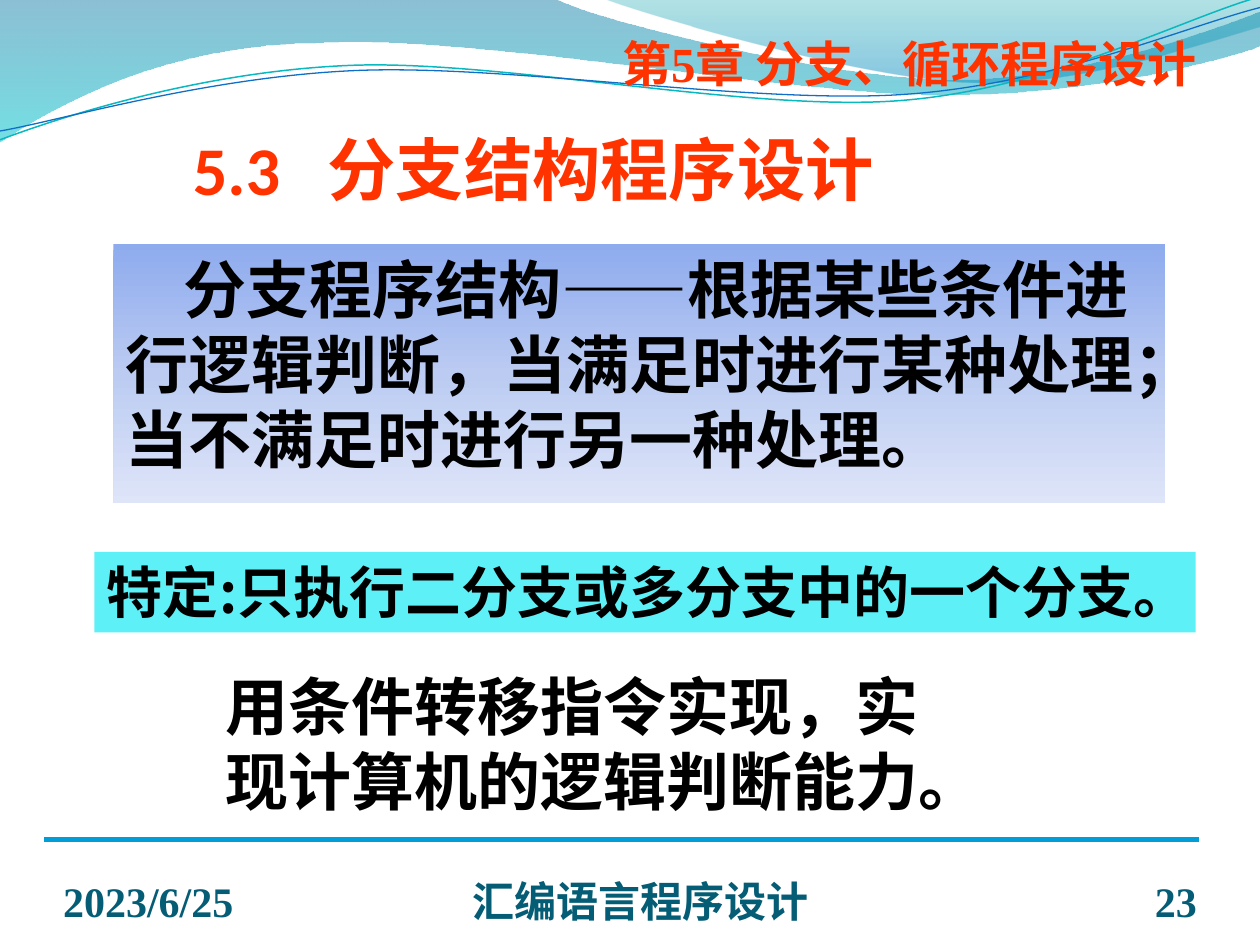
from lxml.etree import SubElement
from pptx import Presentation
from pptx.dml.color import RGBColor
from pptx.enum.shapes import MSO_CONNECTOR, MSO_SHAPE
from pptx.enum.text import MSO_ANCHOR, PP_ALIGN
from pptx.oxml.ns import qn
from pptx.util import Inches, Pt

THEME = {
    "cjk": "Noto Sans CJK SC", "sans": "Calibri", "serif": "Times New Roman",
    "red": "FF3300", "ink": "000000", "footer": "045C75", "rule": "009DD9", "band": "5EF0F7",
    "body": 36, "title": 39, "note": 32, "chapter": 28, "foot": 24,
    "leading": 1.2,
    "panel": [(0, "8EABEE", 100), (50, "BBCBF2", 100), (100, "DEE5F8", 100)],
    "wave_left": [(0, "0074A1", 45), (100, "00C6CF", 55)],
    "wave_right": [(0, "00A1A9", 30), (80, "008BBF", 45)],
}

WAVES = [
    ("wave_left", [
        (0, -0.01), (4.4, -0.01),
        (4.76, 0.17, 6.64, 0.63, 7.58, 0.63), (8.53, 0.63, 9.58, 0.26, 10, 0.09),
        (10.01, 0.36),
        (9.83, 0.44, 8.7, 0.76, 7.46, 0.75), (6.22, 0.75, 3.82, 0.28, 2.57, 0.34),
        (1.29, 0.35, 0.46, 0.83, -0.01, 1.13), (0, -0.01)]),
    ("wave_right", [
        (4.79, -0.01),
        (5.09, 0.11, 6.82, 0.62, 7.69, 0.65), (8.56, 0.69, 9.61, 0.32, 10, 0.21),
        (10, 0), (4.79, -0.01)]),
]
WAVE_LINES = [
    ("0AB8BF", 0.85, [
        (0, 1.11), (0.48, 0.93, 1.58, 0.57, 2.77, 0.52),
        (3.95, 0.47, 5.93, 0.89, 7.13, 0.8), (8.33, 0.71, 9.38, 0.15, 9.98, -0.02)]),
    ("0F6FC6", 0.75, [
        (0, 1.04), (0.47, 0.96, 1.64, 0.61, 2.83, 0.56),
        (4.03, 0.51, 5.97, 0.83, 7.17, 0.75), (8.36, 0.67, 9.41, 0.21, 10, 0.06)]),
]

BODY_INSET = (0.1, 0.05, 0.1, 0.05)
FOOT_INSET = (0, 0, 0, 0)
TEXTS = [
    {"text": "分支程序结构——根据某些条件进行逻辑判断，当满足时进行某种处理；当不满足时进行另一种处理。",
     "box": (0.9, 1.94, 8.35, 2.05), "size": "body", "grad": "panel", "indent": 0.46},
    {"text": "5.3\t分支结构程序设计", "box": (1.53, 0.99, 5.75, 0.66), "size": "title",
     "font": "sans", "color": "red", "inset": (0, 0.02, 0, 0), "tab": 1.07},
    {"text": "用条件转移指令实现，实现计算机的逻辑判断能力。",
     "box": (1.69, 5.25, 5.91, 1.31), "size": "body"},
    {"text": "特定:只执行二分支或多分支中的一个分支。",
     "box": (0.75, 4.38, 8.74, 0.64), "size": "note", "fill": "band"},
    {"text": "第5章 分支、循环程序设计", "box": (4.84, 0.21, 5.16, 0.57), "size": "chapter",
     "font": "serif", "color": "red"},
    {"text": "2023/6/25", "box": (0.5, 6.9, 1.82, 0.45), "align": PP_ALIGN.LEFT, "font": "serif"},
    {"text": "23", "box": (8.67, 6.95, 0.83, 0.4), "align": PP_ALIGN.RIGHT, "font": "serif"},
    {"text": "汇编语言程序设计", "box": (2.72, 6.9, 4.72, 0.45), "align": PP_ALIGN.CENTER},
]


def rgb(key):
    return RGBColor.from_string(THEME.get(key, key))


def add_curve(s, segments, close):
    points = [(round(seg[i] * 100), round(seg[i + 1] * 100))
              for seg in segments for i in range(0, len(seg), 2)]
    fb = s.shapes.build_freeform(*points[0], scale=Inches(0.01))
    fb.add_line_segments(points[1:], close=close)
    sp = fb.convert_to_shape()
    sp.shadow.inherit = False
    steps = iter(list(sp.element.spPr.iter(qn("a:lnTo"))))
    for seg in segments[1:]:
        first = next(steps)
        if len(seg) == 6:
            first.tag = qn("a:cubicBezTo")
            for extra in (next(steps), next(steps)):
                first.append(extra[0])
                extra.getparent().remove(extra)
    return sp


def set_gradient(sp, stops):
    sp.fill.gradient()
    sp.fill.gradient_angle = 270
    gs_list = next(sp.element.spPr.iter(qn("a:gsLst")))
    for gs in list(gs_list):
        gs_list.remove(gs)
    for pos, color, alpha in stops:
        gs = SubElement(gs_list, qn("a:gs"), pos=str(pos * 1000))
        clr = SubElement(gs, qn("a:srgbClr"), val=color)
        if alpha < 100:
            SubElement(clr, qn("a:alpha"), val=str(alpha * 1000))


def add_text(s, item):
    box = [Inches(v) for v in item["box"]]
    if "grad" in item or "fill" in item:
        sp = s.shapes.add_shape(MSO_SHAPE.RECTANGLE, *box)
        sp.shadow.inherit = False
        sp.line.fill.background()
        if "grad" in item:
            set_gradient(sp, THEME[item["grad"]])
        else:
            sp.fill.solid()
            sp.fill.fore_color.rgb = rgb(item["fill"])
    else:
        sp = s.shapes.add_textbox(*box)
    is_foot = "align" in item
    tf = sp.text_frame
    tf.word_wrap = True
    tf.vertical_anchor = MSO_ANCHOR.BOTTOM if is_foot else MSO_ANCHOR.TOP
    inset = item.get("inset", FOOT_INSET if is_foot else BODY_INSET)
    tf.margin_left, tf.margin_top, tf.margin_right, tf.margin_bottom = map(Inches, inset)
    size = THEME[item.get("size", "foot")]
    p = tf.paragraphs[0]
    p.alignment = item.get("align", PP_ALIGN.LEFT)
    p.line_spacing = Pt(round(size * THEME["leading"]))
    pPr = p._p.get_or_add_pPr()
    if "indent" in item:
        pPr.set("indent", str(Inches(item["indent"])))
    if "tab" in item:
        tabs = SubElement(pPr, qn("a:tabLst"))
        SubElement(tabs, qn("a:tab"), pos=str(Inches(item["tab"])), algn="l")
    r = p.add_run()
    r.text = item["text"]
    r.font.size = Pt(size)
    r.font.bold = True
    r.font.color.rgb = rgb(item.get("color", "footer" if is_foot else "ink"))
    r.font.name = THEME[item.get("font", "cjk")]
    SubElement(r.font._element, qn("a:ea"), typeface=THEME["cjk"])


def main():
    prs = Presentation()
    prs.slide_width, prs.slide_height = Inches(10), Inches(7.5)
    s = prs.slides.add_slide(prs.slide_layouts[6])
    for key, segments in WAVES:
        sp = add_curve(s, segments, True)
        sp.line.fill.background()
        set_gradient(sp, THEME[key])
    for color, width, segments in WAVE_LINES:
        sp = add_curve(s, segments, False)
        sp.fill.background()
        sp.line.color.rgb = rgb(color)
        sp.line.width = Pt(width)
    rule = s.shapes.add_connector(
        MSO_CONNECTOR.STRAIGHT, Inches(0.35), Inches(6.66), Inches(9.52), Inches(6.66))
    rule.line.color.rgb = rgb("rule")
    rule.line.width = Pt(3)
    SubElement(rule._element.spPr, qn("a:effectLst"))
    for item in TEXTS:
        add_text(s, item)
    prs.save("out.pptx")


if __name__ == "__main__":
    main()
